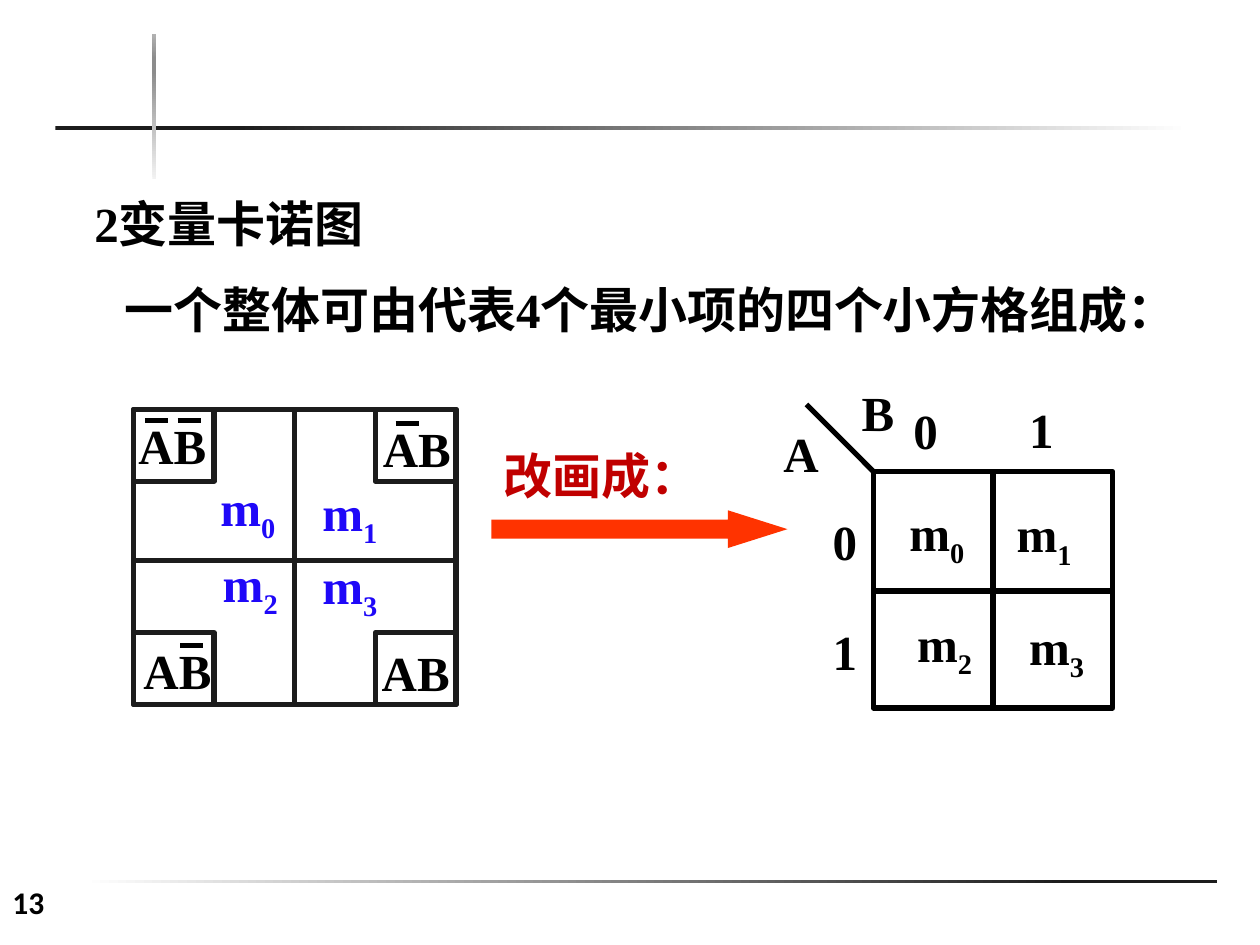
from lxml.etree import SubElement
from pptx import Presentation
from pptx.dml.color import RGBColor
from pptx.enum.shapes import MSO_CONNECTOR as Connector, MSO_SHAPE as Shape
from pptx.enum.text import MSO_ANCHOR as Anchor, PP_ALIGN as Align
from pptx.oxml.ns import qn
from pptx.util import Pt

COLORS = {"ink": "1C1C1C", "black": "000000", "white": "FFFFFF", "blue": "1F08F8",
          "red": "C00000", "orange": "FF3300"}
SERIF = "Times New Roman"
STROKE = 3

# Master bars: left, top, width, height, angle, gradient stops
BARS = [
    (47.5, 502.6, 648, 2.2, 0, [(0, "FFFFFF"), (87, "1C1C1C")]),
    (31.7, 72, 648, 2.2, 0, [(16, "1C1C1C"), (100, "FFFFFF")]),
    (87.1, 19.4, 2.2, 82.8, 90,
     [(0, "F2F2F2"), (74, "8C8C8C"), (83, "8C8C8C"), (100, "B2B2B2")]),
]

# Texts: text, left, top, width, colour
HEADINGS = [
    ("2变量卡诺图", 46.8, 107.3, 193.7, "black"),
    ("一个整体可由代表4个最小项的四个小方格组成：", 64.1, 156.2, 616, "black"),
    ("改画成：", 280.8, 251.3, 137.5, "red"),
]
# Corner products: left, top, left ends of the negation bars
PRODUCTS = [
    (72, 234, [82.8, 101.5]),
    (211.7, 235.4, [226.1]),
    (74.9, 362.2, [103]),
    (211, 363.6, []),
]
# Minterms: index, left, top, width, colour
MINTERMS = [
    (0, 118.8, 269.3, 61.2, "blue"), (1, 177.1, 272.2, 61.2, "blue"),
    (2, 120.2, 312.5, 61.2, "blue"), (3, 177.1, 313.9, 61.2, "blue"),
    (0, 512.6, 283.7, 58.3, "black"), (1, 573.8, 284.4, 58.3, "black"),
    (2, 517, 347, 58.3, "black"), (3, 581, 348.5, 58.3, "black"),
]
VARIABLES = [("B", 485.3, 215.3, 46.8, "black"), ("A", 440.6, 238.3, 31.7, "black")]
AXIS_VALUES = [("0", 514.8, 225.4, 58.3), ("1", 581, 224.6, 58.3),
               ("1", 468.7, 351.4, 22.3), ("0", 468.7, 288.7, 25.9)]

# Map outlines
MAP_LEFT, MAP_TOP, MAP_WIDTH, MAP_HEIGHT = 76.3, 234, 184.3, 168.5
CORNER_WIDTH, CORNER_HEIGHT = 46.1, 41
GRID_X = [499, 567.4, 635.8]
GRID_Y = [269.3, 337.7, 404.6]

deck = Presentation()
deck.slide_width, deck.slide_height = Pt(720), Pt(540)
page = deck.slides.add_slide(deck.slide_layouts[6])


def rgb(name):
    return RGBColor.from_string(COLORS[name])


def add_shape(kind, left, top, width, height, fill=None, line=None):
    shape = page.shapes.add_shape(kind, Pt(left), Pt(top), Pt(width), Pt(height))
    shape.shadow.inherit = False
    if fill:
        shape.fill.solid()
        shape.fill.fore_color.rgb = rgb(fill)
    else:
        shape.fill.background()
    if line:
        shape.line.color.rgb = rgb(line)
        shape.line.width = Pt(STROKE)
    else:
        shape.line.fill.background()
    return shape


def add_line(x1, y1, x2, y2, color):
    line = page.shapes.add_connector(Connector.STRAIGHT, Pt(x1), Pt(y1), Pt(x2), Pt(y2))
    line.line.color.rgb = rgb(color)
    line.line.width = Pt(STROKE)
    SubElement(line._element.spPr, qn("a:effectLst"))


def write(box, text, color="black", subscript=None, size=28, font=SERIF):
    frame = box.text_frame
    frame.word_wrap = True
    frame.margin_right = 0
    frame.vertical_anchor = Anchor.TOP
    para = frame.paragraphs[0]
    para.alignment = Align.LEFT
    para.font.size, para.font.name, para.font.bold = Pt(size), font, True
    para.font.color.rgb = rgb(color)
    para.add_run().text = text
    if subscript is not None:
        span = para.add_run()
        span.text = str(subscript)
        span._r.get_or_add_rPr().set("baseline", "-25000")


def add_text(text, left, top, width, color="black", height=41, **style):
    box = page.shapes.add_textbox(Pt(left), Pt(top), Pt(width), Pt(height))
    write(box, text, color, **style)


# Gradient bars and page number
for left, top, width, height, angle, stops in BARS:
    bar = add_shape(Shape.RECTANGLE, left, top, width, height)
    bar.fill.gradient()
    bar.fill.gradient_angle = angle
    stop_list = bar._element.spPr.find(qn("a:gradFill")).find(qn("a:gsLst"))
    for old in list(stop_list):
        stop_list.remove(old)
    for position, color in stops:
        stop = SubElement(stop_list, qn("a:gs"), pos=str(position * 1000))
        SubElement(stop, qn("a:srgbClr"), val=color)
add_text("13", 0, 501.1, 64.1, height=27.4, size=18, font="Calibri")

# Left map: frame, cross and corner cells
add_shape(Shape.RECTANGLE, MAP_LEFT, MAP_TOP, MAP_WIDTH, MAP_HEIGHT, line="ink")
map_right, map_bottom = MAP_LEFT + MAP_WIDTH, MAP_TOP + MAP_HEIGHT
middle_x, middle_y = MAP_LEFT + MAP_WIDTH / 2, 320.4
add_line(MAP_LEFT, middle_y, map_right, middle_y, "ink")
add_line(middle_x, MAP_TOP, middle_x, map_bottom, "ink")
for left in (MAP_LEFT, map_right - CORNER_WIDTH):
    for top in (MAP_TOP, map_bottom - CORNER_HEIGHT):
        add_shape(Shape.RECTANGLE, left, top, CORNER_WIDTH, CORNER_HEIGHT, line="ink")
for left, top, bars in PRODUCTS:
    add_text("AB", left, top, 65.5)
    for x in bars:
        add_line(x, top + 6.5, x + 13.3, top + 6.5, "black")

# Arrow between the maps
arrow = add_shape(Shape.RIGHT_ARROW, 280.8, 291.6, 169.2, 21.6, fill="orange")
arrow.adjustments[0], arrow.adjustments[1] = 0.5, 1.58

# Right map: cells, grid lines and diagonal
for left, right in zip(GRID_X, GRID_X[1:]):
    for top, bottom in zip(GRID_Y, GRID_Y[1:]):
        add_shape(Shape.RECTANGLE, left, top, right - left, bottom - top, line="black")
for y in GRID_Y:
    add_line(GRID_X[0], y, GRID_X[-1], y, "black")
for x in GRID_X:
    add_line(x, GRID_Y[0], x, GRID_Y[-1], "black")
add_line(GRID_X[0], GRID_Y[0], GRID_X[0] - 38.2, GRID_Y[0] - 38.2, "black")

# Headings, variables, axis values and minterms
for label in HEADINGS + VARIABLES:
    add_text(*label)
for value, left, top, width in AXIS_VALUES:
    write(add_shape(Shape.RECTANGLE, left, top, width, 41, line="white"), value)
for index, left, top, width, color in MINTERMS:
    add_text("m", left, top, width, color, subscript=index)

deck.save("out.pptx")
